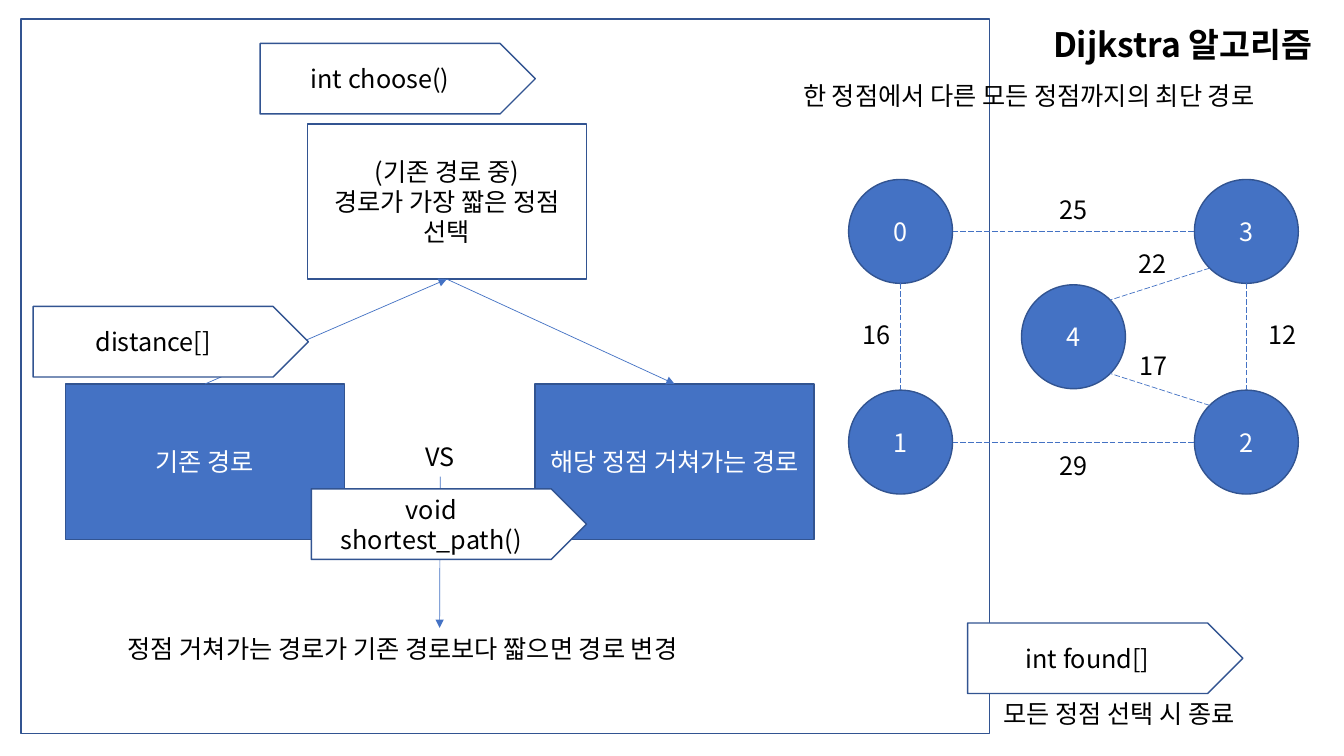
from math import cos, sin, radians

from lxml import etree
from pptx import Presentation
from pptx.dml.color import RGBColor
from pptx.enum.dml import MSO_LINE
from pptx.enum.shapes import MSO_CONNECTOR, MSO_SHAPE
from pptx.enum.text import MSO_ANCHOR, MSO_AUTO_SIZE, PP_ALIGN
from pptx.oxml.ns import qn
from pptx.util import Pt

BLUE = RGBColor(0x44, 0x72, 0xC4)
NAVY = RGBColor(0x32, 0x54, 0x91)
WHITE = RGBColor(0xFF, 0xFF, 0xFF)
BLACK = RGBColor(0, 0, 0)
FONT = "Noto Sans CJK KR"
STEP = MSO_SHAPE.FLOWCHART_PROCESS
ARROW = MSO_SHAPE.RIGHT_ARROW
OVAL = MSO_SHAPE.OVAL
STRAIGHT = MSO_CONNECTOR.STRAIGHT
DASH = MSO_LINE.LONG_DASH
LEFT, CENTER, RIGHT = PP_ALIGN.LEFT, PP_ALIGN.CENTER, PP_ALIGN.RIGHT
MIDDLE = MSO_ANCHOR.MIDDLE
GROW = MSO_AUTO_SIZE.SHAPE_TO_FIT_TEXT
STEP_W, STEP_H = 199.4, 110.9
TAG_W, TAG_H = 196.6, 50.4
ROW_H = 29


def write(frame, text, color, align, size=18, bold=False):
    """Fill a text frame and format every run."""
    frame.text = text
    for para in frame.paragraphs:
        para.alignment = align
        for run in para.runs:
            font = run.font
            font.name, font.size, font.bold = FONT, Pt(size), bold
            font.color.rgb = color
            east = etree.SubElement(font._element, qn("a:ea"))
            east.set("typeface", FONT)


def block(shapes, kind, box, text="", fill=None, color=BLACK):
    """Add an outlined shape with centred text."""
    shape = shapes.add_shape(kind, *map(Pt, box))
    shape.shadow.inherit = False
    if fill is None:
        shape.fill.background()
    else:
        shape.fill.solid()
        shape.fill.fore_color.rgb = fill
    shape.line.color.rgb = NAVY
    shape.line.width = Pt(1)
    if text:
        shape.text_frame.vertical_anchor = MIDDLE
        write(shape.text_frame, text, color, CENTER)
    return shape


def tag(shapes, x, y, text):
    """Add a white pentagon that names a piece of code."""
    shape = block(shapes, ARROW, (x, y, TAG_W, TAG_H), text, WHITE)
    shape.adjustments[0], shape.adjustments[1] = 1, 0.5


def label(shapes, box, text, align=LEFT, size=18, bold=False, wrap=False):
    """Add a plain text box."""
    frame = shapes.add_textbox(*map(Pt, box)).text_frame
    frame.word_wrap = wrap
    frame.auto_size = GROW
    write(frame, text, BLACK, align, size, bold)


def link(shapes, start, end, dashed=False):
    """Add a thin line, dashed or with an arrowhead."""
    line = shapes.add_connector(STRAIGHT, *map(Pt, (*start, *end)))
    line.line.color.rgb = BLUE
    line.line.width = Pt(0.5)
    if dashed:
        line.line.dash_style = DASH
    else:
        tail = etree.SubElement(line.line._get_or_add_ln(), qn("a:tailEnd"))
        tail.set("type", "triangle")
    etree.SubElement(line._element.spPr, qn("a:effectLst"))


def flow(shapes, box):
    """Draw the framed loop that picks a vertex and compares paths."""
    x, y, w, h = box
    block(shapes, STEP, box)
    pick, old, via = (x + 204.5, y + 75), (x + 31.7, y + 260.8), (x + 367.2, y + 260.8)
    peak = pick[0] + STEP_W / 2, pick[1] + STEP_H
    block(shapes, STEP, (*pick, STEP_W, STEP_H), "(기존 경로 중)\n경로가 가장 짧은 정점 선택")
    for spot, text in ((old, "기존 경로"), (via, "해당 정점 거쳐가는 경로")):
        block(shapes, STEP, (*spot, STEP_W, STEP_H), text, BLUE, WHITE)
    link(shapes, (old[0] + STEP_W / 2, old[1]), peak)
    link(shapes, peak, (via[0] + STEP_W / 2, via[1]))
    link(shapes, (x + 299.5, y + 327), (x + 299, y + 435))
    label(shapes, (x + 281.5, y + 298.3, 35.3, ROW_H), "VS")
    label(shapes, (x + 69.1, y + 435, 459.4, ROW_H),
          "정점 거쳐가는 경로가 기존 경로보다 짧으면 경로 변경")
    tag(shapes, x + 8.7, y + 205.4, "distance[]")
    tag(shapes, x + 170.8, y + 17.5, "int choose()")
    tag(shapes, x + 207.4, y + 335.7, "void shortest_path()")


def graph(shapes, box):
    """Draw the weighted graph with its vertices, edges and costs."""
    x, y, w, h = box
    size = 74.2
    far, low = w - size, h - size
    spots = {"0": (0, 0), "1": (0, low), "2": (far, low),
             "4": (far / 2, low / 2), "3": (far, 0)}
    edges = (("0", 0, "3", 180, "25", 143.3, 7.2),
             ("0", 90, "1", 270, "16", 2.9, 96.5),
             ("1", 0, "2", 180, "29", 143.3, 190.1),
             ("3", 90, "2", 270, "12", 293, 96.5),
             ("3", 135, "4", 315, "22", 200.2, 45.4),
             ("2", 225, "4", 45, "17", 200.9, 118.8))

    def rim(name, turn):
        """Give the point on a vertex rim at an angle."""
        dx, dy = spots[name]
        half, angle = size / 2, radians(turn)
        return x + dx + half * (1 + cos(angle)), y + dy + half * (1 + sin(angle))

    for name, (dx, dy) in spots.items():
        block(shapes, OVAL, (x + dx, y + dy, size, size), name, BLUE, WHITE)
    for a, out, b, into, cost, dx, dy in edges:
        link(shapes, rim(a, out), rim(b, into), True)
        label(shapes, (x + dx, y + dy, 34.6, ROW_H), cost)


def head(shapes, box):
    """Write the title and the goal of the algorithm."""
    x, y, w, h = box
    label(shapes, (x + w - 226, y, 226, 36.4), "Dijkstra 알고리즘", RIGHT, 24, True, True)
    label(shapes, (x, y + 40.3, 380.2, ROW_H), "한 정점에서 다른 모든 정점까지의 최단 경로")


def stop(shapes, box):
    """Show the array and the rule that end the loop."""
    x, y, w, h = box
    label(shapes, (x + 18.7, y + TAG_H, 210.2, ROW_H), "모든 정점 선택 시 종료")
    tag(shapes, x, y, "int found[]")


def main():
    """Build and save the slide."""
    deck = Presentation()
    deck.slide_width, deck.slide_height = Pt(960), Pt(540)
    shapes = deck.slides.add_slide(deck.slide_layouts[6]).shapes
    flow(shapes, (15, 13.5, 692, 510.5))
    head(shapes, (566.6, 13.7, 378, 70))
    graph(shapes.add_group_shape().shapes, (606.2, 128.2, 321.2, 224.7))
    stop(shapes, (691.2, 445, 229, 79.4))
    deck.save("out.pptx")


main()
